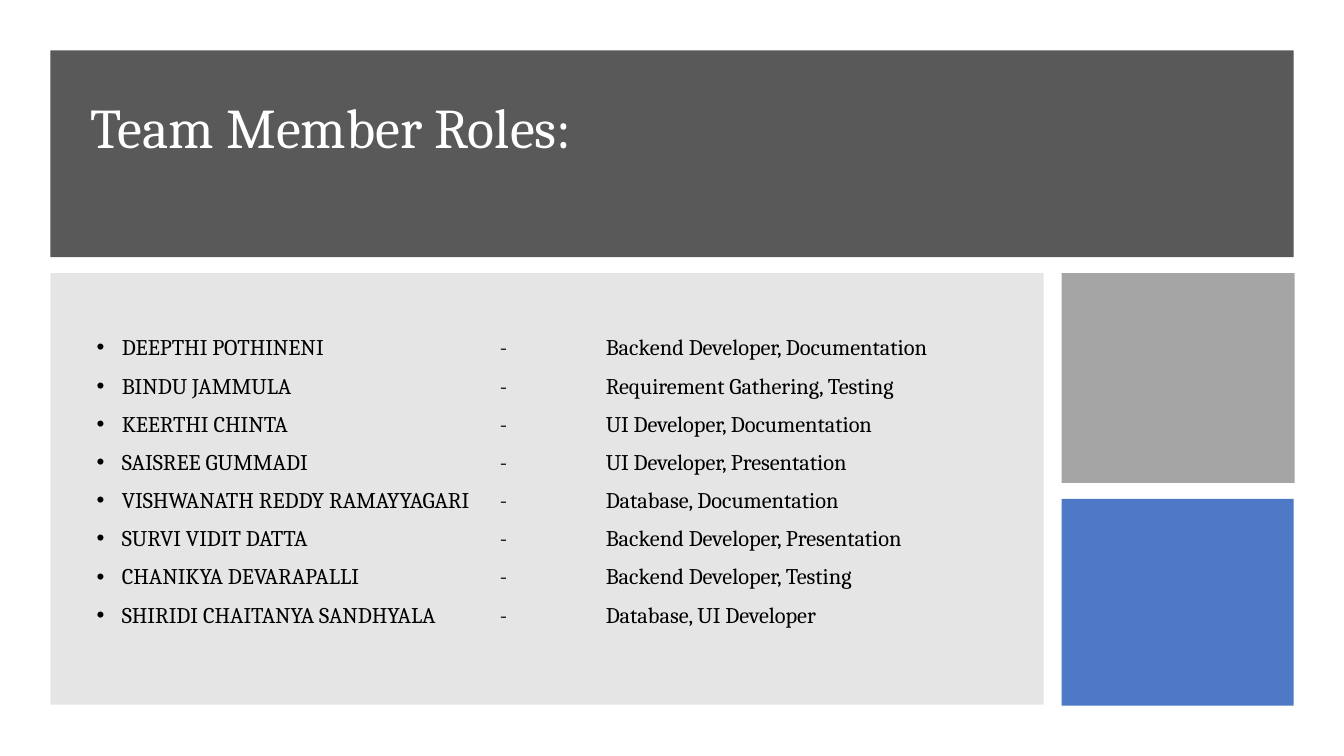
from lxml import etree
from pptx import Presentation
from pptx.dml.color import RGBColor
from pptx.enum.shapes import MSO_SHAPE
from pptx.enum.text import MSO_ANCHOR
from pptx.oxml.ns import qn
from pptx.util import Inches, Pt

RECTANGLE = MSO_SHAPE.RECTANGLE
MIDDLE = MSO_ANCHOR.MIDDLE
FONT = "Cambria"
COLORS = {
    "banner": "595959",
    "panel": "808080",
    "gray": "A5A5A5",
    "blue": "4472C4",
    "white": "FFFFFF",
    "black": "000000",
}
TAB_STOPS = (4, 5.05)
MEMBER_ROLES = [
    ("DEEPTHI POTHINENI", "Backend Developer, Documentation"),
    ("BINDU JAMMULA", "Requirement Gathering, Testing"),
    ("KEERTHI CHINTA", "UI Developer, Documentation"),
    ("SAISREE GUMMADI", "UI Developer, Presentation"),
    ("VISHWANATH REDDY RAMAYYAGARI", "Database, Documentation"),
    ("SURVI VIDIT DATTA", "Backend Developer, Presentation"),
    ("CHANIKYA DEVARAPALLI", "Backend Developer, Testing"),
    ("SHIRIDI CHAITANYA SANDHYALA", "Database, UI Developer"),
]


def add_block(slide, left, top, width, height, color, opacity=100):
    shape = slide.shapes.add_shape(
        RECTANGLE, Inches(left), Inches(top), Inches(width), Inches(height)
    )
    shape.shadow.inherit = False
    shape.line.fill.background()
    shape.fill.solid()
    shape.fill.fore_color.rgb = RGBColor.from_string(COLORS[color])
    if opacity < 100:
        fill_color = shape.fill._xPr.find(".//" + qn("a:srgbClr"))
        etree.SubElement(fill_color, qn("a:alpha"), val=str(opacity * 1000))


def add_text(slide, left, top, width, height, text, size, color):
    text_box = slide.shapes.add_textbox(
        Inches(left), Inches(top), Inches(width), Inches(height)
    )
    text_frame = text_box.text_frame
    text_frame.word_wrap = True
    text_frame.vertical_anchor = MIDDLE
    text_frame.text = text
    for paragraph in text_frame.paragraphs:
        paragraph.line_spacing = 0.9
        for run in paragraph.runs:
            run.font.name = FONT
            run.font.size = Pt(size)
            run.font.color.rgb = RGBColor.from_string(COLORS[color])
    return text_frame


def format_list_item(paragraph):
    paragraph.space_before = Pt(10)
    properties = paragraph._p.get_or_add_pPr()
    properties.set("marL", str(Inches(0.25)))
    properties.set("indent", str(Inches(-0.25)))
    etree.SubElement(properties, qn("a:buFont"), typeface="Arial")
    etree.SubElement(properties, qn("a:buChar"), char="•")
    tab_list = etree.SubElement(properties, qn("a:tabLst"))
    for position in TAB_STOPS:
        etree.SubElement(tab_list, qn("a:tab"), pos=str(Inches(position)), algn="l")


def add_role_list(slide):
    text = "\n".join(f"{name}\t-\t{role}" for name, role in MEMBER_ROLES)
    text_frame = add_text(slide, 0.86, 2.71, 9.15, 4.15, text, 16, "black")
    for paragraph in text_frame.paragraphs:
        format_list_item(paragraph)


def main():
    presentation = Presentation()
    presentation.slide_width = Inches(13.33)
    presentation.slide_height = Inches(7.5)
    slide = presentation.slides.add_slide(presentation.slide_layouts[6])

    add_block(slide, 0.5, 0.5, 12.33, 2.05, "banner")
    title = add_text(
        slide, 0.8, 0.8, 11.66, 1.56, "Team Member Roles:", 40, "white"
    )
    title.margin_bottom = Inches(0.63)
    add_block(slide, 0.5, 2.71, 9.85, 4.28, "panel", opacity=20)
    add_role_list(slide)
    add_block(slide, 10.53, 2.71, 2.31, 2.08, "gray")
    add_block(slide, 10.53, 4.95, 2.3, 2.05, "blue", opacity=95)

    presentation.save("out.pptx")


if __name__ == "__main__":
    main()
